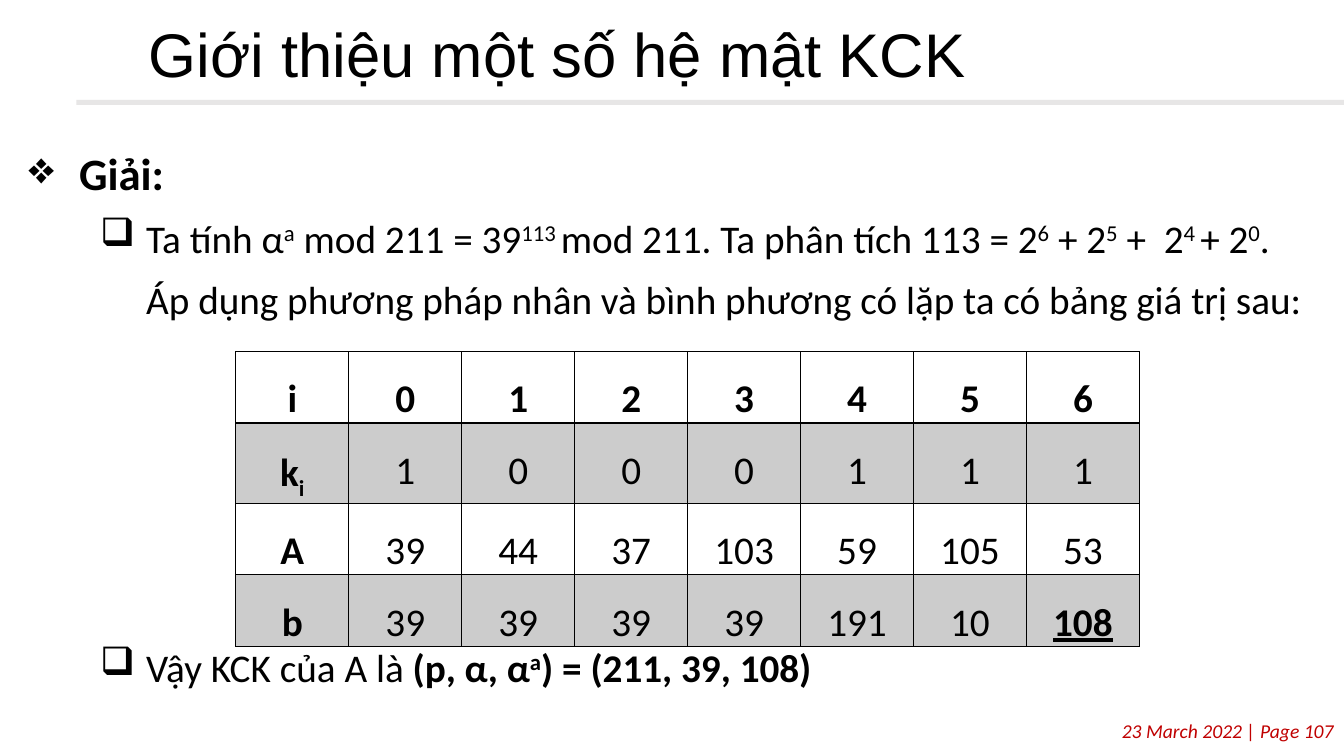
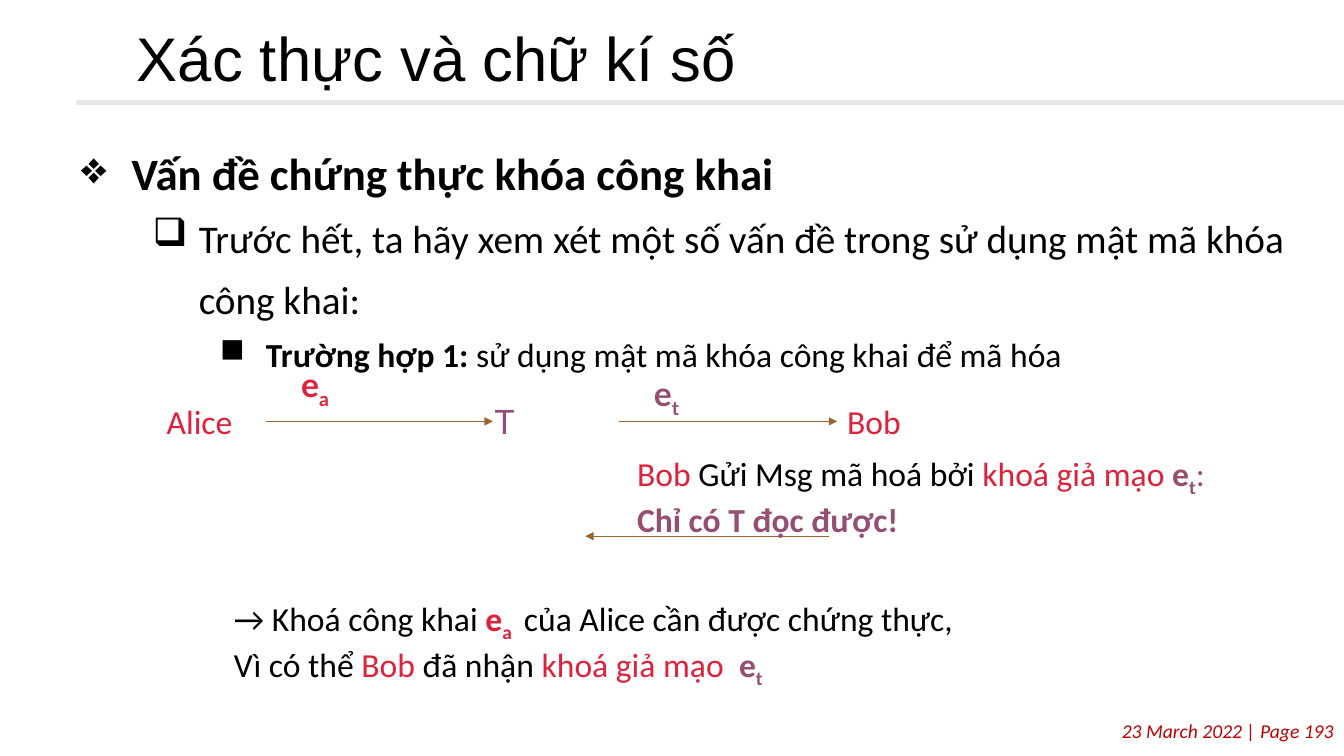
import lxml.etree
import pptx
import pptx.dml.color
import pptx.enum.shapes
import pptx.enum.text
import pptx.oxml.ns
import pptx.util

Pt = pptx.util.Pt
ALIGN = pptx.enum.text.PP_ALIGN
ANCHOR = pptx.enum.text.MSO_ANCHOR
qn = pptx.oxml.ns.qn

# Shared colours and text formats
BLACK, WHITE, BAND, SHADE = "000000", "FFFFFF", "E7E6E6", "CCCCCC"
FOOTER_RED, RED, PURPLE, BROWN = "C00000", "DF213B", "954F72", "996633"
TITLE = {"name": "Arial", "size": Pt(44), "color": BLACK}
FOOTER = {"name": "Calibri", "size": Pt(14), "color": FOOTER_RED, "italic": True}
CELL = {"name": "Calibri", "size": Pt(28), "color": BLACK}
NOTE = {"name": "Calibri", "size": Pt(24), "color": BLACK}
BOLD = {"bold": True}
SUPER = {"baseline": 30}
SUB = {"baseline": -25}
IN_RED = {"color": RED}
IN_PURPLE = {"color": PURPLE}
KEY_RED = {"color": RED, "bold": True}
KEY_PURPLE = {"color": PURPLE, "bold": True}

# Outline levels: bullet, left margin, first-line indent, size
LEVELS = [("❖", 48, -36, 32), ("❑", 96, -33, 28), ("■", 144, -33, 24)]


def rgb(value):
    return pptx.dml.color.RGBColor.from_string(value)


def add_spans(para, base, spans):
    """Add spans, each plain text or (text, format, ...)."""
    for item in spans:
        text, *extras = (item,) if isinstance(item, str) else item
        values = dict(base)
        for extra in extras:
            values.update(extra)
        span = para.add_run()
        span.text = text
        for key, value in values.items():
            if key == "color":
                span.font.color.rgb = rgb(value)
            elif key == "baseline":
                span.font._element.set("baseline", str(value * 1000))
            else:
                setattr(span.font, key, value)


def add_text(page, place, base, lines, anchor=ANCHOR.MIDDLE, wrap=False, **layout):
    """Add a text box; layout holds paragraph settings."""
    box = page.shapes.add_textbox(*map(Pt, place))
    frame = box.text_frame
    frame.word_wrap = wrap
    frame.vertical_anchor = anchor
    for index, spans in enumerate(lines):
        para = frame.add_paragraph() if index else frame.paragraphs[0]
        for key, value in layout.items():
            setattr(para, key, value)
        add_spans(para, base, spans)
    return box


def add_outline(page, left, width, items):
    """Add the bulleted body; each item is (level, space before, spans)."""
    box = page.shapes.add_textbox(Pt(left), Pt(85.7), Pt(width), Pt(421))
    frame = box.text_frame
    frame.word_wrap = True
    frame.margin_top = frame.margin_bottom = Pt(7.2)
    for index, (level, gap, spans) in enumerate(items):
        bullet, margin, indent, size = LEVELS[level]
        para = frame.add_paragraph() if index else frame.paragraphs[0]
        para.level = level
        properties = para._p.get_or_add_pPr()
        properties.set("marL", str(Pt(margin)))
        properties.set("indent", str(Pt(indent)))
        lxml.etree.SubElement(properties, qn("a:buChar")).set("char", bullet)
        para.line_spacing = 1.3
        if gap:
            para.space_before = Pt(gap)
        add_spans(para, {**NOTE, "size": Pt(size)}, spans)


def add_arrow(page, start, end, source=None, target=None):
    """Add an arrow, joined to a source's right and a target's left side."""
    line = page.shapes.add_connector(
        pptx.enum.shapes.MSO_CONNECTOR.STRAIGHT, *map(Pt, start + end))
    if source:
        line.begin_connect(source, 3)
    if target:
        line.end_connect(target, 1)
    line.line.color.rgb = rgb(BROWN)
    line.line.width = Pt(0.75)
    outline = line.line._get_or_add_ln()
    lxml.etree.SubElement(outline, qn("a:tailEnd")).set("type", "triangle")
    lxml.etree.SubElement(line._element.spPr, qn("a:effectLst"))


def set_borders(cell, bottom):
    """Draw black cell borders ahead of the cell's fill."""
    properties = cell._tc.get_or_add_tcPr()
    for index, side in enumerate(("lnL", "lnR", "lnT", "lnB")):
        width = bottom if side == "lnB" else 1
        border = lxml.etree.Element(qn("a:" + side), w=str(Pt(width)))
        fill = lxml.etree.SubElement(border, qn("a:solidFill"))
        lxml.etree.SubElement(fill, qn("a:srgbClr")).set("val", BLACK)
        properties.insert(index, border)


def add_grid(page, place, heights, rows):
    """Add a table with shaded odd rows and bold row and column heads."""
    grid = page.shapes.add_table(len(rows), len(rows[0]), *map(Pt, place)).table
    grid.first_row = grid.horz_banding = False
    for r, (height, row) in enumerate(zip(heights, rows)):
        grid.rows[r].height = Pt(height)
        for c, spans in enumerate(row):
            cell = grid.cell(r, c)
            cell.margin_left = cell.margin_right = Pt(5)
            cell.margin_top = cell.margin_bottom = 0
            cell.fill.solid()
            cell.fill.fore_color.rgb = rgb(SHADE if r % 2 else WHITE)
            set_borders(cell, 1 if r else 2)
            para = cell.text_frame.paragraphs[0]
            para.alignment = ALIGN.CENTER
            para.line_spacing = 1.5
            add_spans(para, {**CELL, "bold": r == 0 or c == 0}, spans)


def add_page(deck, title, place, number):
    """Add a page with its footer, title rule and title."""
    page = deck.slides.add_slide(deck.slide_layouts[6])
    add_text(page, (3.6, 510, 956.4, 24), FOOTER,
             [[f"23 March 2022 | Page {number}"]], wrap=True, alignment=ALIGN.RIGHT)
    band = page.shapes.add_shape(pptx.enum.shapes.MSO_SHAPE.RECTANGLE,
                                 Pt(54.5), Pt(71.3), Pt(905.5), Pt(3.6))
    band.shadow.inherit = False
    band.fill.solid()
    band.fill.fore_color.rgb = rgb(BAND)
    band.line.fill.background()
    add_text(page, place, TITLE, [[title]], ANCHOR.TOP, True, line_spacing=0.9)
    return page


def add_solution_page(deck):
    page = add_page(deck, "Giới thiệu một số hệ mật KCK", (99.2, 13.7, 855, 56), 107)
    add_outline(page, 1.4, 947.5, [
        (0, 0, [("Giải:", BOLD)]),
        (1, 0, ["Ta tính α", ("a", SUPER), " mod 211 = 39", ("113 ", SUPER),
                "mod 211. Ta phân tích 113 = 2", ("6", SUPER), " + 2", ("5", SUPER),
                " +  2", ("4 ", SUPER), "+ 2", ("0", SUPER),
                ". Áp dụng phương pháp nhân và bình phương có lặp "
                "ta có bảng giá trị sau:"]),
        # The space before leaves room for the table
        (1, 219, ["Vậy KCK của A là ", ("(p, α, α", BOLD), ("a", BOLD, SUPER),
                  (") = (211, 39, 108)", BOLD)]),
    ])
    values = ["i 0 1 2 3 4 5 6", "k 1 0 0 0 1 1 1",
              "A 39 44 37 103 59 105 53", "b 39 39 39 39 191 10 108"]
    rows = [[[value] for value in line.split()] for line in values]
    rows[1][0].append(("i", SUB))
    rows[3][7] = [("108", BOLD, {"underline": True})]
    add_grid(page, (168.5, 251.2, 645.6, 210), (51, 57, 51, 51), rows)


def add_authentication_page(deck):
    page = add_page(deck, "Xác thực và chữ kí số", (90.7, 16.6, 845, 74), 193)
    add_outline(page, 38.9, 908.6, [
        (0, 0, [("Vấn đề chứng thực khóa công khai", BOLD)]),
        (1, 0, ["Trước hết, ta hãy xem xét một số vấn đề trong sử dụng "
                "mật mã khóa công khai:"]),
        (2, 0, [("Trường hợp 1: ", BOLD), "sử dụng mật mã khóa công khai để mã hóa"]),
    ])

    # Conclusion
    add_text(page, (160, 417.6, 546, 84), NOTE, [
        ["→ Khoá công khai ", ("e", KEY_RED), ("a ", KEY_RED, SUB),
         " của Alice cần được chứng thực,"],
        ["Vì có thể ", ("Bob", IN_RED), " đã nhận ", ("khoá giả mạo  ", IN_RED),
         ("e", KEY_PURPLE), ("t", KEY_PURPLE, SUB)],
    ])

    # People in the exchange, on one row
    lato = {**NOTE, "name": "Lato"}
    row_top, row_height = 283, 36
    middle = row_top + row_height / 2
    people = [("Alice", 112, 78, NOTE, IN_RED), ("T", 346.3, 90, lato, IN_PURPLE),
              ("Bob", 598, 108, NOTE, IN_RED)]
    alice, _, bob = [
        add_text(page, (left, row_top, width, row_height), base, [[(name, colour)]])
        for name, left, width, base, colour in people]

    # Keys above the arrows
    for letter, left, top, style in (("a", 208, 258.5, KEY_RED),
                                     ("t", 460, 265, KEY_PURPLE)):
        add_text(page, (left, top, 126, row_height), lato,
                 [[("e", style), (letter, style, SUB)]])

    add_arrow(page, (190, middle), (352, middle), source=alice)
    add_arrow(page, (442, middle), (598, middle), target=bob)
    add_arrow(page, (592, 383), (418, 383))

    # Reply
    add_text(page, (448, 320, 430, 68), NOTE, [
        [("Bob", IN_RED), " Gửi Msg mã hoá bởi ", ("khoá giả mạo ", IN_RED),
         ("e", KEY_PURPLE), ("t", KEY_PURPLE, SUB), (":", IN_PURPLE)],
        [("Chỉ có T đọc được!", KEY_PURPLE)],
    ])


def main():
    deck = pptx.Presentation()
    deck.slide_width, deck.slide_height = Pt(960), Pt(540)
    add_solution_page(deck)
    add_authentication_page(deck)
    deck.save("out.pptx")


if __name__ == "__main__":
    main()
